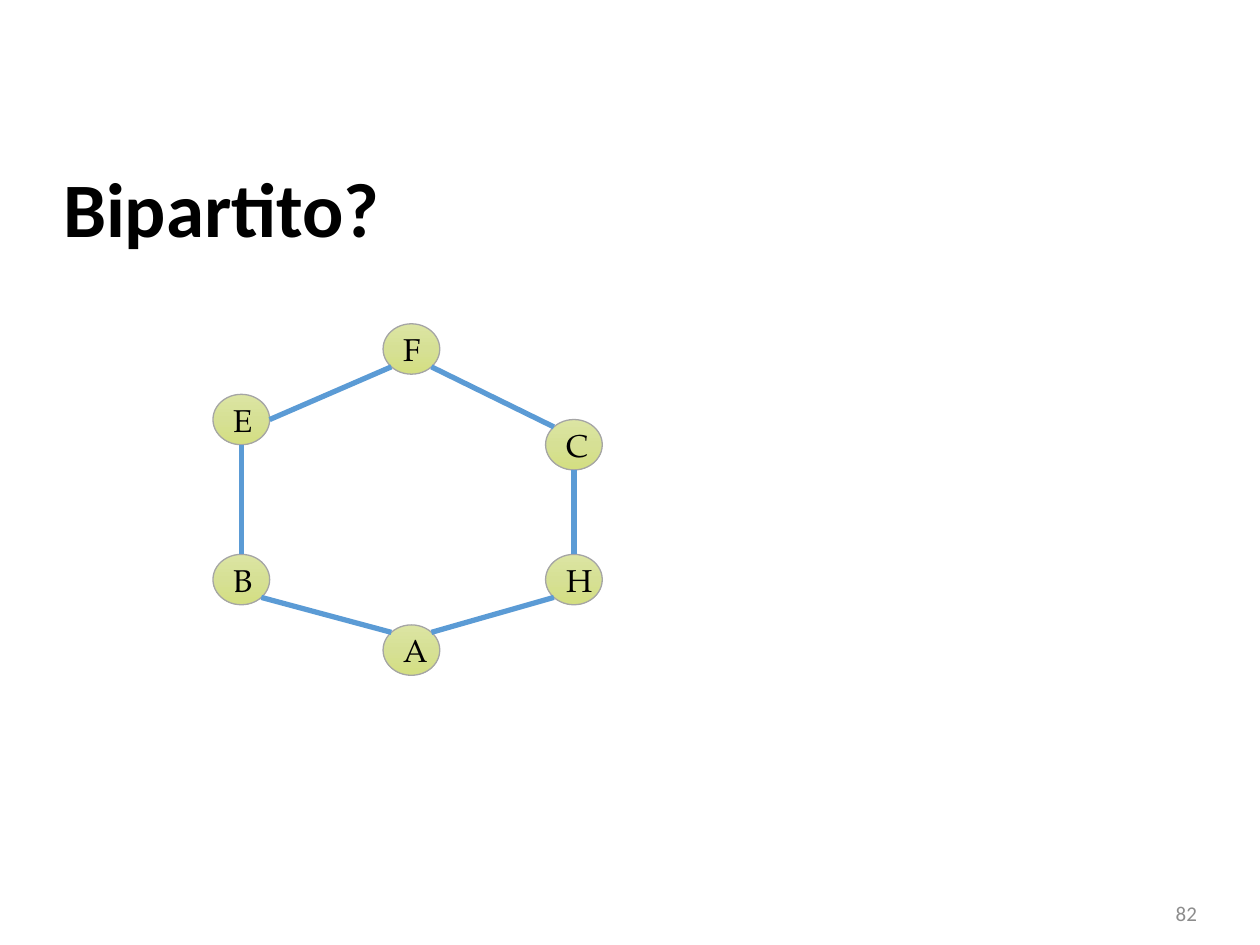
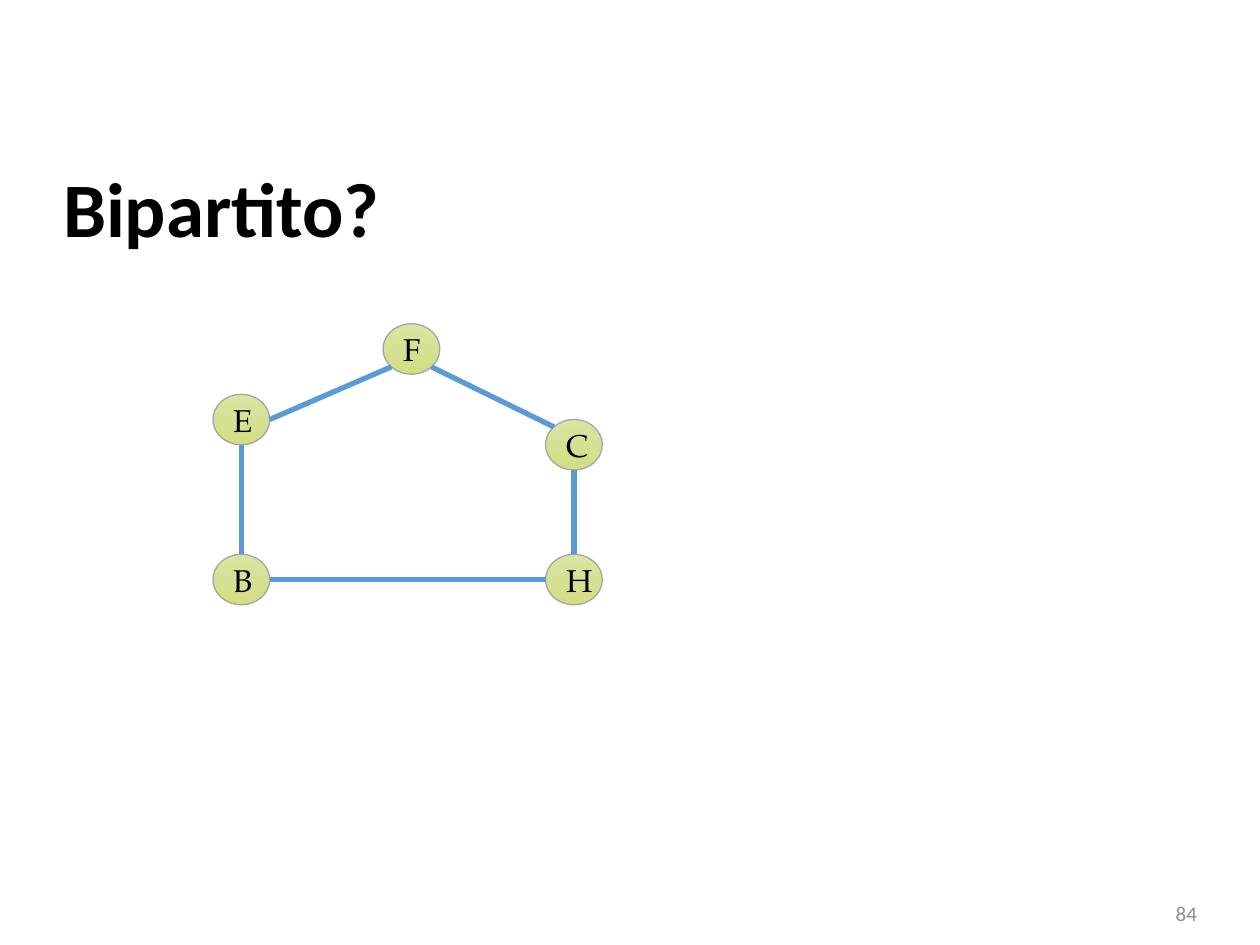
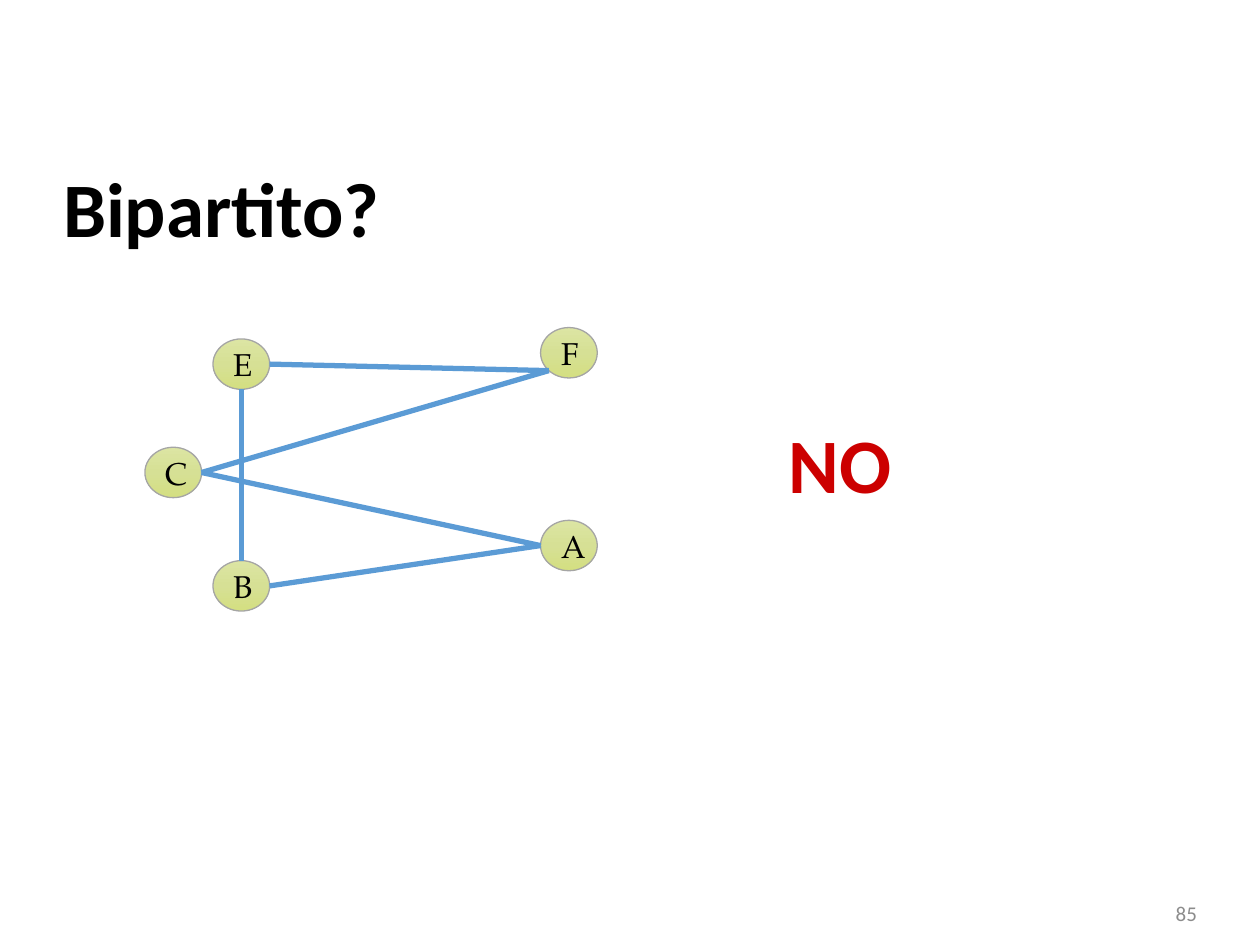
from math import sqrt

from lxml.etree import SubElement
from pptx import Presentation
from pptx.dml.color import RGBColor
from pptx.enum.shapes import MSO_CONNECTOR, MSO_SHAPE
from pptx.enum.text import MSO_ANCHOR, MSO_AUTO_SIZE, PP_ALIGN
from pptx.oxml.ns import qn
from pptx.util import Inches, Pt

BLACK = RGBColor(0x00, 0x00, 0x00)
GREY = RGBColor(0x8C, 0x8C, 0x8C)
RED = RGBColor(0xCC, 0x00, 0x00)
EDGE_BLUE = RGBColor(0x5B, 0x9B, 0xD5)
NODE_BORDER = RGBColor(0xA5, 0xA5, 0xA5)
NODE_GRADIENT = {
    0: RGBColor(0xDC, 0xE5, 0xA3),
    50: RGBColor(0xD6, 0xE0, 0x95),
    100: RGBColor(0xD4, 0xDF, 0x81),
}

TEXT_FONT = "Calibri"
NODE_FONT = "TeX Gyre Pagella"
TITLE_BOX = (0.5, 0.77, 9, 1.25)
ANSWER_BOX = (6.26, 2.8, 3.4, 1.25)
NUMBER_BOX = (8.67, 6.95, 0.83, 0.4)
NODE_WIDTH, NODE_HEIGHT = 0.45, 0.4

# Edge ends on a node, as fractions of its half width and half height
DIAGONAL = 1 / sqrt(2)
SITES = {
    "top": (0, -1),
    "bottom": (0, 1),
    "left": (-1, 0),
    "right": (1, 0),
    "top left": (-DIAGONAL, -DIAGONAL),
    "top right": (DIAGONAL, -DIAGONAL),
    "bottom left": (-DIAGONAL, DIAGONAL),
    "bottom right": (DIAGONAL, DIAGONAL),
}

# Node places are relative to the top left corner of the graph
PENTAGON_NODES = {
    "H": (2.64, 1.83),
    "F": (1.35, 0),
    "B": (0, 1.83),
    "E": (0, 0.56),
    "C": (2.64, 0.76),
}
PENTAGON_EDGES = [
    ("C", "top left", "F", "bottom right"),
    ("H", "top", "C", "bottom"),
    ("F", "bottom left", "E", "right"),
    ("E", "bottom", "B", "top"),
]
HEXAGON_NODES = PENTAGON_NODES | {"A": (1.35, 2.39)}
HEXAGON_EDGES = PENTAGON_EDGES + [
    ("A", "top right", "H", "bottom left"),
    ("B", "bottom right", "A", "top left"),
]
CLOSED_PENTAGON_EDGES = PENTAGON_EDGES + [("B", "right", "H", "left")]
TWO_SIDED_NODES = {
    "A": (3.14, 1.53),
    "F": (3.14, 0),
    "B": (0.54, 1.85),
    "E": (0.54, 0.09),
    "C": (0, 0.95),
}
TWO_SIDED_EDGES = [
    ("C", "right", "F", "bottom left"),
    ("A", "left", "C", "right"),
    ("F", "bottom left", "E", "right"),
    ("E", "bottom", "B", "top"),
    ("B", "right", "A", "left"),
]


def write_text(shape, text, size, color, font=TEXT_FONT, bold=False,
               align=PP_ALIGN.LEFT, anchor=MSO_ANCHOR.BOTTOM,
               insets=(0, 0, 0, 0), line_spacing=None):
    frame = shape.text_frame
    frame.word_wrap = True
    frame.auto_size = MSO_AUTO_SIZE.NONE
    frame.vertical_anchor = anchor
    (frame.margin_left, frame.margin_top,
     frame.margin_right, frame.margin_bottom) = map(Inches, insets)
    paragraph = frame.paragraphs[0]
    paragraph.alignment = align
    paragraph.line_spacing = line_spacing
    run = paragraph.add_run()
    run.text = text
    run.font.name = font
    run.font.size = Pt(size)
    run.font.bold = bold
    run.font.color.rgb = color


def write_heading(shape, text, color):
    write_text(shape, text, 44, color, bold=True,
               insets=(0, 0.05, 0, 0), line_spacing=0.9)


def fill_node(node):
    """Give the node its three-stop vertical gradient."""
    gradient = SubElement(node.element.spPr, qn("a:gradFill"), rotWithShape="1")
    stops = SubElement(gradient, qn("a:gsLst"))
    for percent, color in NODE_GRADIENT.items():
        stop = SubElement(stops, qn("a:gs"), pos=str(percent * 1000))
        SubElement(stop, qn("a:srgbClr"), val=str(color))
    SubElement(gradient, qn("a:lin"), ang="5400000", scaled="0")


def add_node(slide, name, left, top):
    node = slide.shapes.add_shape(
        MSO_SHAPE.OVAL, Inches(left), Inches(top),
        Inches(NODE_WIDTH), Inches(NODE_HEIGHT))
    fill_node(node)
    node.line.color.rgb = NODE_BORDER
    node.line.width = Pt(0.75)
    node.shadow.inherit = False
    write_text(node, name, 18, BLACK, font=NODE_FONT, align=PP_ALIGN.CENTER,
               anchor=MSO_ANCHOR.MIDDLE, insets=(0.1, 0.05, 0.1, 0.05))


def add_edge(slide, start, end):
    edge = slide.shapes.add_connector(
        MSO_CONNECTOR.STRAIGHT, *map(Inches, start + end))
    edge.line.color.rgb = EDGE_BLUE
    edge.line.width = Pt(3)
    SubElement(edge.element.spPr, qn("a:effectLst"))


def add_graph(slide, left, top, nodes, edges):
    def site_point(name, site):
        x, y = nodes[name]
        across, down = SITES[site]
        return (left + x + NODE_WIDTH / 2 * (1 + across),
                top + y + NODE_HEIGHT / 2 * (1 + down))

    for name, (x, y) in nodes.items():
        add_node(slide, name, left + x, top + y)
    for start, start_site, end, end_site in edges:
        add_edge(slide, site_point(start, start_site), site_point(end, end_site))


def add_question_slide(presentation, number):
    """Add a slide with the shared question title and its page number."""
    slide = presentation.slides.add_slide(presentation.slide_layouts[5])
    title = slide.shapes.title
    title.left, title.top, title.width, title.height = map(Inches, TITLE_BOX)
    write_heading(title, "Bipartito?", BLACK)
    number_box = slide.shapes.add_textbox(*map(Inches, NUMBER_BOX))
    write_text(number_box, str(number), 12, GREY, align=PP_ALIGN.RIGHT)
    return slide


def add_answer(slide, text):
    answer = slide.shapes.add_textbox(*map(Inches, ANSWER_BOX))
    write_heading(answer, text, RED)


def main():
    presentation = Presentation()
    presentation.slide_width = Inches(10)
    presentation.slide_height = Inches(7.5)

    slide = add_question_slide(presentation, 82)
    add_graph(slide, 1.69, 2.57, HEXAGON_NODES, HEXAGON_EDGES)

    slide = add_question_slide(presentation, 84)
    add_graph(slide, 1.69, 2.57, PENTAGON_NODES, CLOSED_PENTAGON_EDGES)

    slide = add_question_slide(presentation, 85)
    add_graph(slide, 1.15, 2.6, TWO_SIDED_NODES, TWO_SIDED_EDGES)
    add_answer(slide, "NO")

    presentation.save("out.pptx")


if __name__ == "__main__":
    main()
